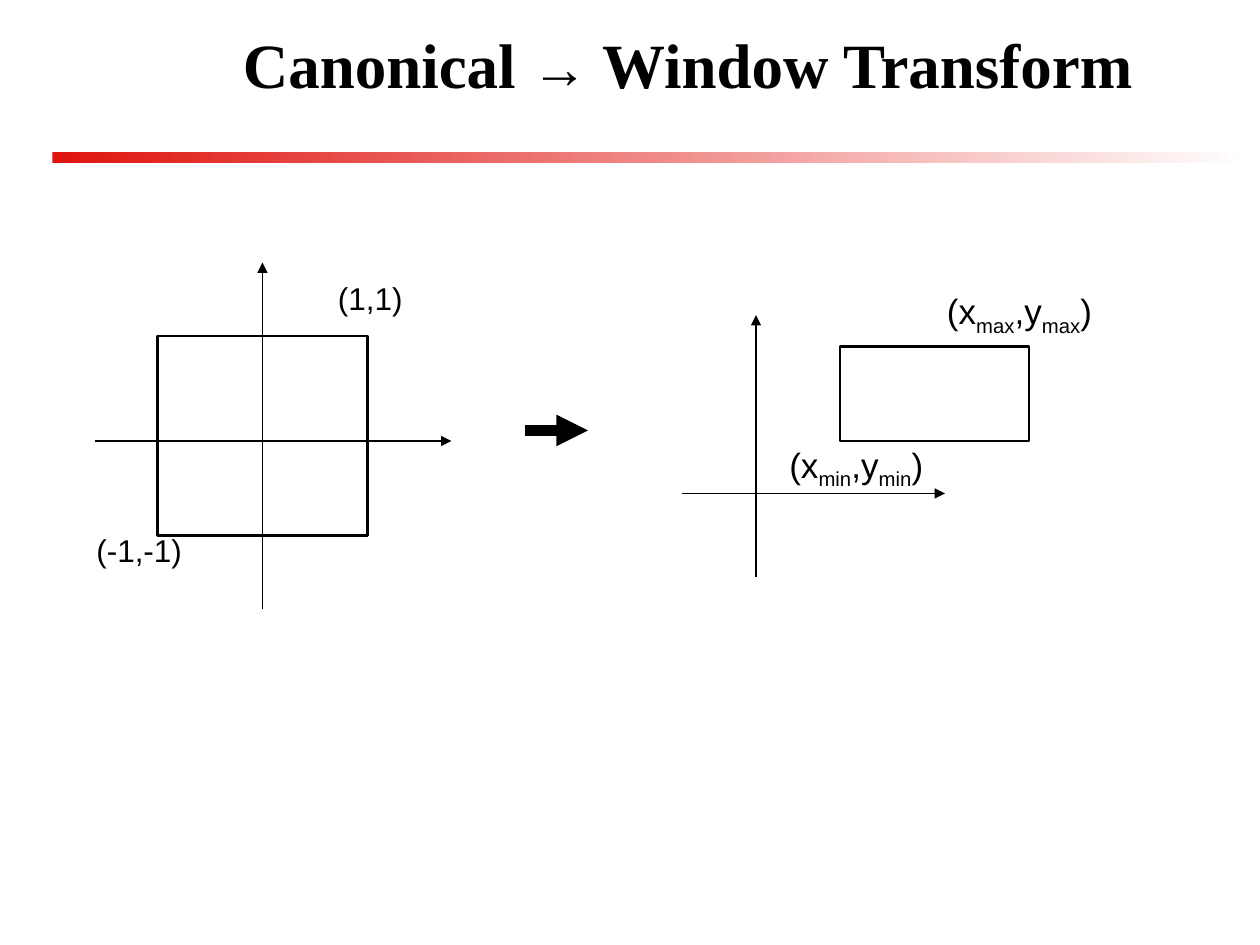
from dataclasses import dataclass

from lxml.etree import SubElement
from pptx import Presentation
from pptx.dml.color import RGBColor
from pptx.enum.shapes import MSO_CONNECTOR, MSO_SHAPE
from pptx.enum.text import MSO_ANCHOR, MSO_AUTO_SIZE, PP_ALIGN
from pptx.oxml.ns import qn
from pptx.shapes.autoshape import Shape
from pptx.slide import Slide
from pptx.text.text import _Paragraph as Paragraph
from pptx.util import Emu, Pt

SCALE = 914400 // 120
BLACK, RED, WHITE = "000000", "DF140F", "FFFFFF"
TITLE_FORMAT = {"name": "Times New Roman", "size": Pt(36), "bold": True}


@dataclass(frozen=True)
class Span:
    text: str
    size: int
    baseline: int = 0


@dataclass(frozen=True)
class Label:
    left: int
    top: int
    width: int
    height: int
    spans: tuple[Span, ...]


@dataclass(frozen=True)
class Arrow:
    start: tuple[int, int]
    end: tuple[int, int]
    weight: float = 0.75


@dataclass(frozen=True)
class Region:
    left: int
    top: int
    width: int
    height: int


def bound(suffix: str) -> tuple[Span, ...]:
    """Return the spans of a corner label with subscripted coordinates."""
    subscript = Span(suffix, 20, -25000)
    return Span("(x", 20), subscript, Span(",y", 20), subscript, Span(")", 20)


TITLE = (Span("Canonical ", 36), Span("→", 32), Span(" Window Transform", 36))
ARROWS = (
    Arrow((250, 580), (250, 250)),
    Arrow((90, 420), (430, 420)),
    Arrow((720, 550), (720, 300)),
    Arrow((650, 470), (900, 470)),
    Arrow((500, 410), (560, 410), 6),
)
REGIONS = (Region(150, 320, 200, 190), Region(800, 330, 180, 90))
LABELS = (
    Label(80, 500, 127, 60, (Span("(-1,-1)", 18),)),
    Label(310, 260, 101, 60, (Span("(1,1)", 18),)),
    Label(740, 416, 156, 52, bound("min")),
    Label(890, 270, 162, 52, bound("max")),
)


def px(*lengths: int) -> list[Emu]:
    """Convert pixel lengths to EMU."""
    return [Emu(length * SCALE) for length in lengths]


def color(value: str) -> RGBColor:
    """Return the colour of a hex string."""
    return RGBColor.from_string(value)


def apply_format(target: object, values: dict) -> None:
    """Set each named attribute on the target."""
    for name, value in values.items():
        setattr(target, name, value)


def write_spans(para: Paragraph, spans: tuple[Span, ...], values: dict) -> None:
    """Write formatted spans into a paragraph."""
    for span in spans:
        run = para.add_run()
        run.text = span.text
        apply_format(run.font, values | {"size": Pt(span.size)})
        run.font.color.rgb = color(BLACK)
        if span.baseline:
            run.font._element.set("baseline", str(span.baseline))


def draw_title(page: Slide) -> None:
    """Place and write the slide title."""
    title = page.shapes.title
    left, top, width, height = px(140, 10, 1030, 100)
    apply_format(title, {"left": left, "top": top, "width": width, "height": height})
    apply_format(title.text_frame, {
        "vertical_anchor": MSO_ANCHOR.MIDDLE,
        "auto_size": MSO_AUTO_SIZE.NONE,
        "word_wrap": True,
    })
    para = title.text_frame.paragraphs[0]
    para.alignment = PP_ALIGN.CENTER
    write_spans(para, TITLE, TITLE_FORMAT)


def add_rectangle(page: Slide, region: Region) -> Shape:
    """Add a rectangle without a shadow."""
    box = page.shapes.add_shape(
        MSO_SHAPE.RECTANGLE, *px(region.left, region.top, region.width, region.height)
    )
    box.shadow.inherit = False
    return box


def draw_rule(page: Slide) -> None:
    """Draw the fading rule below the title."""
    rule = add_rectangle(page, Region(50, 145, 1140, 10))
    rule.line.fill.background()
    rule.fill.gradient()
    rule.fill.gradient_angle = 0
    for stop, position, value in zip(rule.fill.gradient_stops, (0, 1), (RED, WHITE)):
        stop.position = position
        stop.color.rgb = color(value)


def draw_region(page: Slide, region: Region) -> None:
    """Draw an outlined region."""
    box = add_rectangle(page, region)
    box.fill.background()
    box.line.color.rgb = color(BLACK)
    box.line.width = Pt(1.5)


def draw_arrow(page: Slide, arrow: Arrow) -> None:
    """Draw a line with a triangle at its end."""
    line = page.shapes.add_connector(
        MSO_CONNECTOR.STRAIGHT, *px(*arrow.start, *arrow.end)
    )
    line.line.color.rgb = color(BLACK)
    line.line.width = Pt(arrow.weight)
    SubElement(line.line._get_or_add_ln(), qn("a:tailEnd"), type="triangle")
    SubElement(line._element.spPr, qn("a:effectLst"))


def draw_label(page: Slide, label: Label) -> None:
    """Draw a coordinate label."""
    box = page.shapes.add_textbox(
        *px(label.left, label.top, label.width, label.height)
    )
    box.text_frame.word_wrap = False
    write_spans(box.text_frame.paragraphs[0], label.spans, {"name": "Arial"})


def main() -> None:
    """Build and save the slide."""
    deck = Presentation()
    deck.slide_width, deck.slide_height = px(1200, 900)
    page = deck.slides.add_slide(deck.slide_layouts[5])
    draw_rule(page)
    draw_title(page)
    for region in REGIONS:
        draw_region(page, region)
    for arrow in ARROWS:
        draw_arrow(page, arrow)
    for label in LABELS:
        draw_label(page, label)
    deck.save("out.pptx")


if __name__ == "__main__":
    main()
